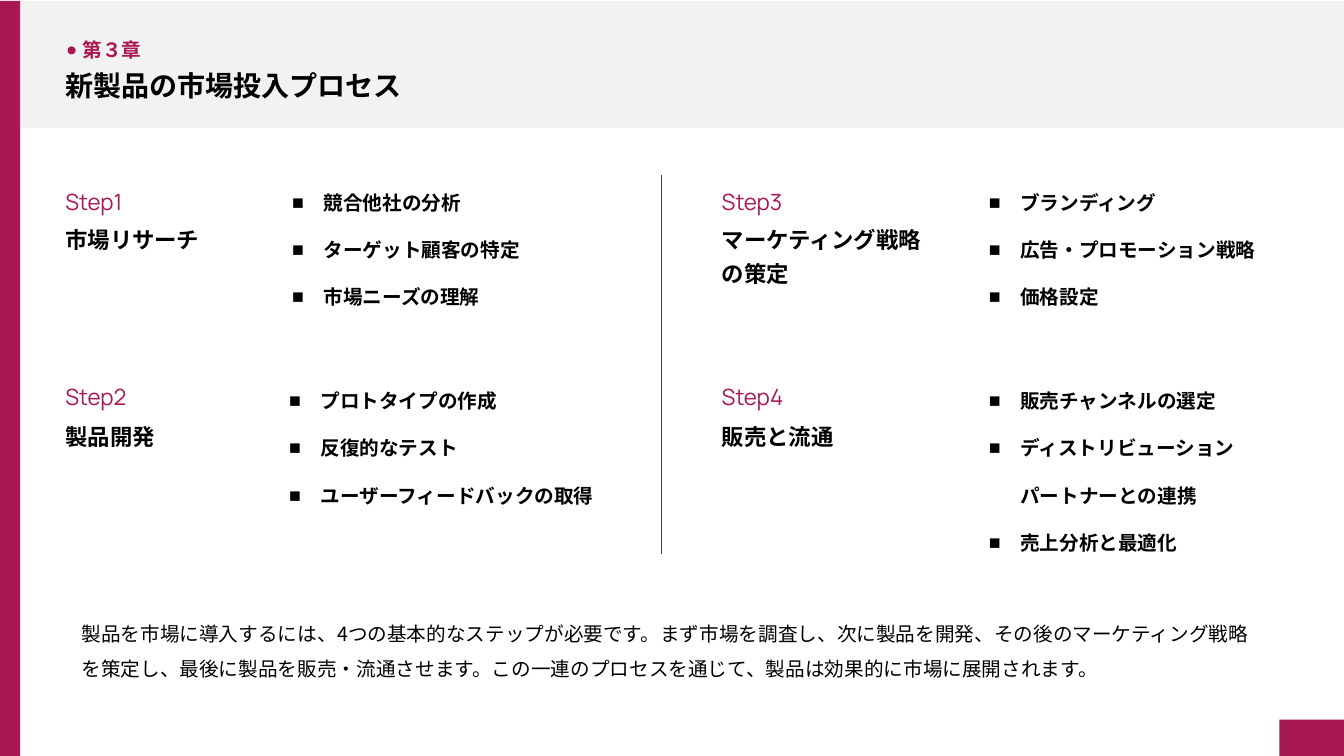
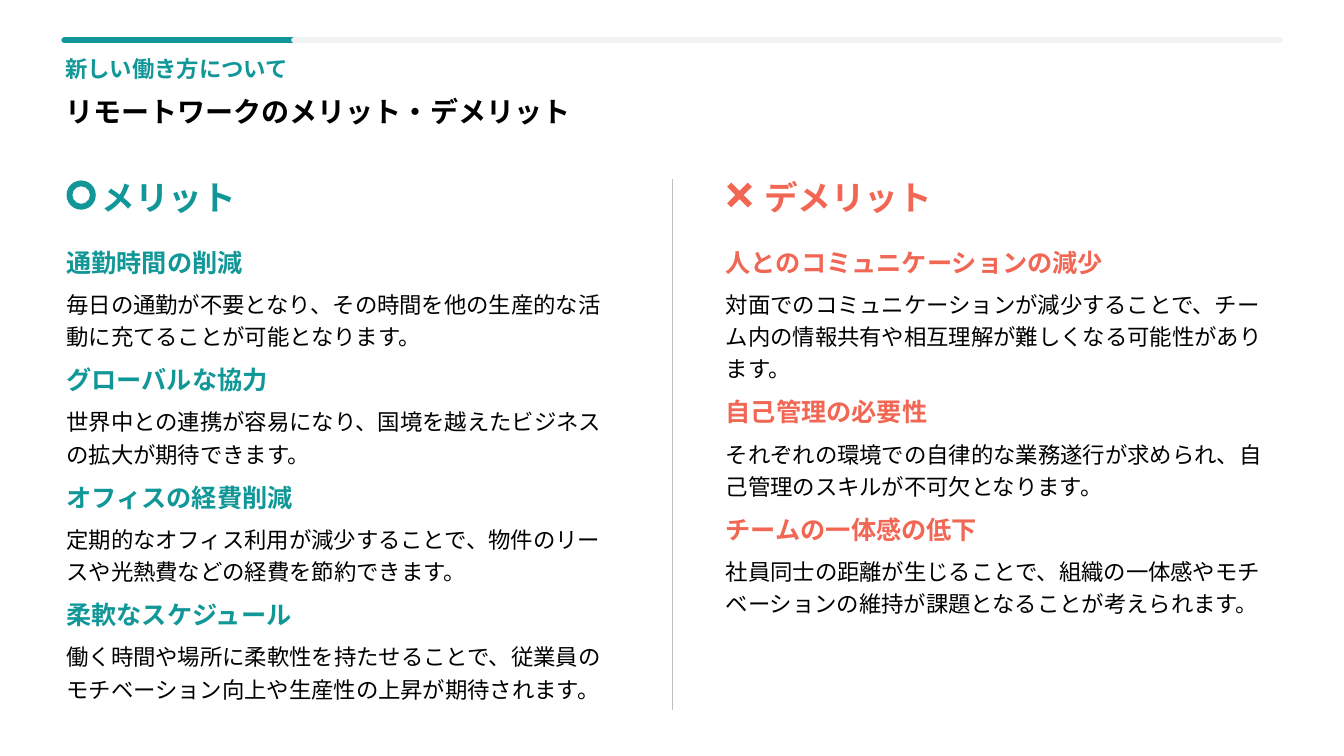
from lxml import etree
from pptx import Presentation
from pptx.dml.color import RGBColor
from pptx.enum.lang import MSO_LANGUAGE_ID as Lang
from pptx.enum.shapes import MSO_CONNECTOR, MSO_SHAPE as Shape
from pptx.enum.text import MSO_AUTO_SIZE as AutoSize
from pptx.oxml.ns import qn
from pptx.util import Inches, Pt

# Shared palette and fonts
BLACK = RGBColor(0x00, 0x00, 0x00)
CRIMSON = RGBColor(0xA8, 0x18, 0x52)
TEAL = RGBColor(0x11, 0x97, 0x97)
CORAL = RGBColor(0xF2, 0x67, 0x54)
PALE = RGBColor(0xF2, 0xF2, 0xF2)
GRAY = RGBColor(0xBF, 0xBF, 0xBF)
DARK = RGBColor(0x40, 0x40, 0x40)
GOTHIC, LATO, MANROPE = "Noto Sans CJK JP", "Lato", "Manrope"
TITLE_SIZE = 20
LEFT = 0.55


def add_text(slide, x, y, w, h, rows, font, spacing=1.0, before=0, bullet=None):
    """Each row is (text, size, color, bold)."""
    frame = slide.shapes.add_textbox(Inches(x), Inches(y), Inches(w), Inches(h)).text_frame
    frame.word_wrap = True
    frame.auto_size = AutoSize.SHAPE_TO_FIT_TEXT
    for i, (text, size, color, bold) in enumerate(rows):
        paragraph = frame.paragraphs[0] if i == 0 else frame.add_paragraph()
        paragraph.text = text
        paragraph.line_spacing = spacing
        if i and before:
            paragraph.space_before = Pt(before)
        if bullet:
            props = paragraph._p.get_or_add_pPr()
            props.set("marL", str(Inches(0.31)))
            props.set("indent", str(-Inches(0.31)))
            etree.SubElement(props, qn("a:buFont")).set("typeface", "Arial")
            etree.SubElement(props, qn("a:buChar")).set("char", bullet)
        run = paragraph.runs[0]
        run.font.size, run.font.bold = Pt(size), bold
        run.font.color.rgb = color
        run.font.name = font
        run.font.language_id = Lang.JAPANESE
        # East Asian glyphs follow the Lato line height on both slides
        etree.SubElement(run.font._element, qn("a:ea")).set("typeface", LATO)


def add_line(slide, x1, y1, x2, y2, color, width, cap="flat"):
    line = slide.shapes.add_connector(
        MSO_CONNECTOR.STRAIGHT, Inches(x1), Inches(y1), Inches(x2), Inches(y2))
    line.line.color.rgb = color
    line.line.width = Pt(width)
    line.line._get_or_add_ln().set("cap", cap)
    etree.SubElement(line._element.spPr, qn("a:effectLst"))


prs = Presentation()
prs.slide_width, prs.slide_height = Inches(13.33), Inches(7.5)
blank = prs.slide_layouts[6]

# Slide 1: launch process
process = prs.slides.add_slide(blank)

# Header band, side bar, chapter dot and corner block
for kind, x, y, w, h, color in [
    (Shape.RECTANGLE, 0, 0.01, 13.33, 1.26, PALE),
    (Shape.RECTANGLE, 0, 0.01, 0.2, 7.49, CRIMSON),
    (Shape.OVAL, 0.67, 0.46, 0.08, 0.08, CRIMSON),
    (Shape.RECTANGLE, 12.69, 7.14, 0.64, 0.36, CRIMSON),
]:
    block = process.shapes.add_shape(kind, Inches(x), Inches(y), Inches(w), Inches(h))
    block.shadow.inherit = False
    block.fill.solid()
    block.fill.fore_color.rgb = color
    block.line.fill.background()

add_text(process, 0.72, 0.33, 2.59, 0.34, [("第３章", 14, CRIMSON, True)], GOTHIC)
add_text(process, LEFT, 0.63, 4.76, 0.44,
         [("新製品の市場投入プロセス", TITLE_SIZE, BLACK, True)], GOTHIC)

# Four steps: heading lines, left of the tasks, width of the tasks, tasks
steps = [
    (["市場リサーチ"], 2.8, 3.11,
     ["競合他社の分析", "ターゲット顧客の特定", "市場ニーズの理解"]),
    (["製品開発"], 2.77, 3.44,
     ["プロトタイプの作成", "反復的なテスト", "ユーザーフィードバックの取得"]),
    (["マーケティング戦略", "の策定"], 9.71, 3.37,
     ["ブランディング", "広告・プロモーション戦略", "価格設定"]),
    (["販売と流通"], 9.71, 2.78,
     ["販売チャンネルの選定", "ディストリビューションパートナーとの連携", "売上分析と最適化"]),
]
step_rows = [(1.74, 2.11, 1.61), (3.67, 4.07, 3.58)]
for i, (heading, task_x, task_w, tasks) in enumerate(steps):
    x = (LEFT, 7.06)[i // 2]
    label_y, heading_y, task_y = step_rows[i % 2]
    add_text(process, x, label_y, 2.22, 0.43,
             [(f"Step{i + 1}", 16, CRIMSON, False)], MANROPE, 1.3)
    add_text(process, x, heading_y, 2.22, 0.42,
             [(line, 16, BLACK, True) for line in heading], GOTHIC, 1.3)
    add_text(process, task_x, task_y, task_w, 1.44,
             [(task, 14, BLACK, True) for task in tasks], GOTHIC, 2.0, bullet="■")

add_line(process, 6.56, 1.74, 6.56, 5.5, DARK, 1)

# Summary
summary = ("製品を市場に導入するには、4つの基本的なステップが必要です。"
           "まず市場を調査し、次に製品を開発、その後のマーケティング戦略を策定し、"
           "最後に製品を販売・流通させます。"
           "この一連のプロセスを通じて、製品は効果的に市場に展開されます。")
add_text(process, 0.71, 6, 11.82, 0.77, [(summary, 14, BLACK, False)], GOTHIC, 1.5)

# Slide 2: pros and cons of remote work
remote = prs.slides.add_slide(blank)

# Progress bar and title
add_line(remote, 0.64, 0.4, 2.92, 0.4, TEAL, 4.5, "rnd")
add_line(remote, 2.92, 0.4, 12.69, 0.4, PALE, 4.5, "rnd")
add_text(remote, LEFT, 0.5, 4.27, 0.37, [("新しい働き方について", 16, TEAL, True)], LATO)
add_text(remote, LEFT, 0.89, 5.29, 0.44,
         [("リモートワークのメリット・デメリット", TITLE_SIZE, BLACK, True)], LATO)

# Two columns: icon, heading, points
merits = [
    ("通勤時間の削減",
     "毎日の通勤が不要となり、その時間を他の生産的な活動に充てることが可能となります。"),
    ("グローバルな協力",
     "世界中との連携が容易になり、国境を越えたビジネスの拡大が期待できます。"),
    ("オフィスの経費削減",
     "定期的なオフィス利用が減少することで、物件のリースや光熱費などの経費を節約できます。"),
    ("柔軟なスケジュール",
     "働く時間や場所に柔軟性を持たせることで、従業員のモチベーション向上や生産性の上昇が期待されます。"),
]
demerits = [
    ("人とのコミュニケーションの減少",
     "対面でのコミュニケーションが減少することで、チーム内の情報共有や相互理解が難しくなる可能性があります。"),
    ("自己管理の必要性",
     "それぞれの環境での自律的な業務遂行が求められ、自己管理のスキルが不可欠となります。"),
    ("チームの一体感の低下",
     "社員同士の距離が生じることで、組織の一体感やモチベーションの維持が課題となることが考えられます。"),
]
for heading, heading_x, x, w, h, color, points, kind, icon_x, adjust, angle in [
    ("メリット", 0.91, 0.56, 5.61, 4.7, TEAL, merits, Shape.DONUT, 0.66, 0.2, 0),
    ("デメリット", 7.48, 7.1, 5.54, 3.85, CORAL, demerits, Shape.CROSS, 7.19, 0.4, 45),
]:
    icon = remote.shapes.add_shape(
        kind, Inches(icon_x), Inches(1.79), Inches(0.29), Inches(0.29))
    icon.adjustments[0] = adjust
    icon.rotation = angle
    icon.shadow.inherit = False
    icon.fill.solid()
    icon.fill.fore_color.rgb = color
    icon.line.fill.background()

    add_text(remote, heading_x, 1.63, 5.61, 0.54, [(heading, 24, color, True)], LATO, 1.2)
    rows = []
    for point, detail in points:
        rows += [(point, 18, color, True), (detail, 16, BLACK, False)]
    add_text(remote, x, 2.34, w, h, rows, LATO, 1.2, before=6)

add_line(remote, 6.67, 1.78, 6.67, 7.04, GRAY, 1)

prs.save("out.pptx")
